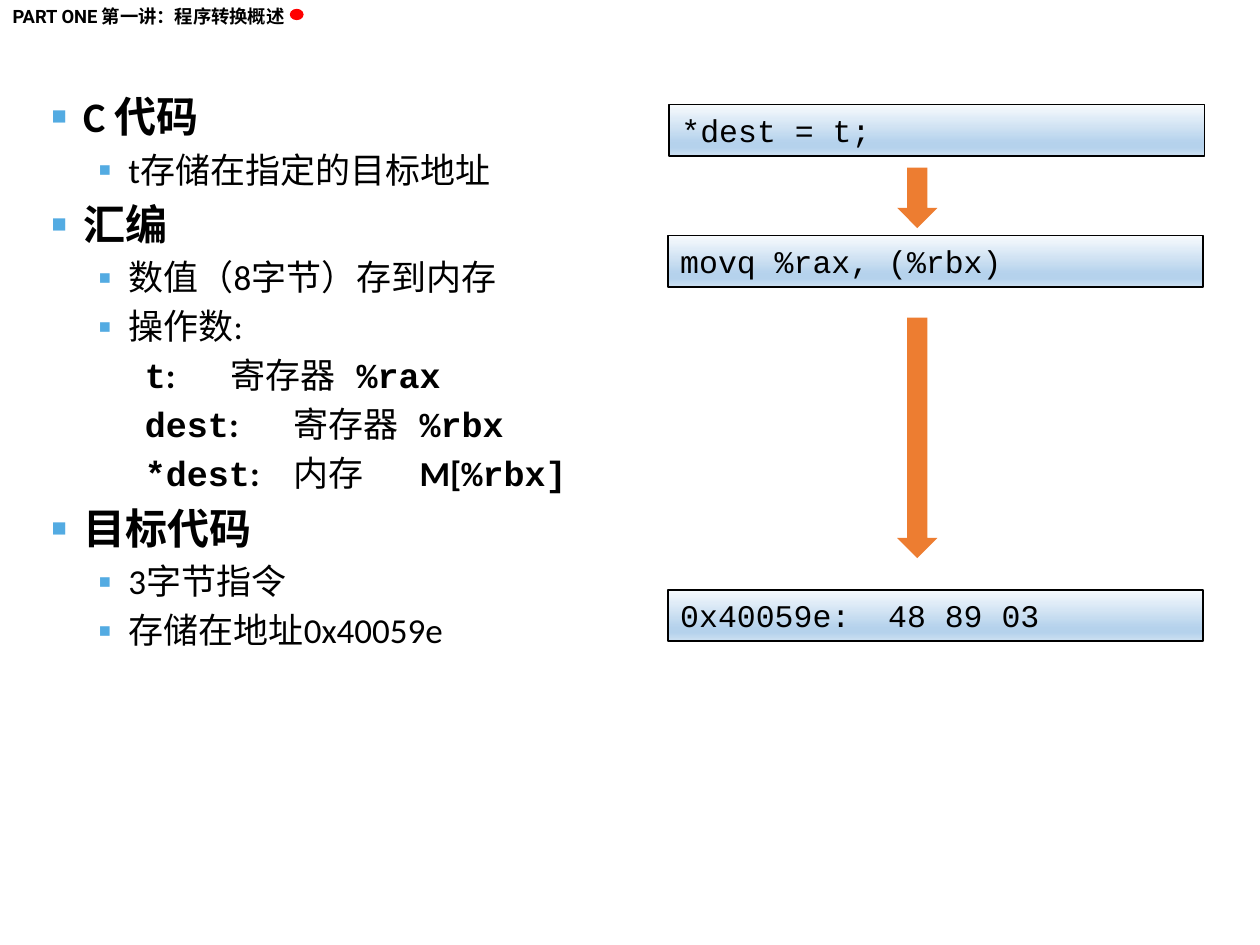
from typing import NamedTuple, Optional

import pptx
import pptx.dml.color
import pptx.enum.shapes
import pptx.enum.text
import pptx.oxml.ns
import pptx.util
from lxml import etree

Inches = pptx.util.Inches
Pt = pptx.util.Pt
Shape = pptx.enum.shapes.MSO_SHAPE
Fit = pptx.enum.text.MSO_AUTO_SIZE
Align = pptx.enum.text.PP_ALIGN
Anchor = pptx.enum.text.MSO_ANCHOR
qn = pptx.oxml.ns.qn

BODY = "Calibri"
CODE = "Courier New"
TABS = (1.75, 2.75)
STOPS = ((0, "F7FAFD"), (74, "B5D2EC"), (83, "B5D2EC"), (100, "CEE1F2"))


class Level(NamedTuple):
    left: float
    hang: float
    size: int
    bold: bool
    mark: Optional[str] = None
    scale: int = 100


class Panel(NamedTuple):
    left: float
    top: float
    code: str


class Arrow(NamedTuple):
    top: float
    height: float


LEVELS = (
    Level(0.25, 0.25, 24, True, "■", 60),
    Level(0.61, 0.24, 20, False, "▪", 110),
    Level(0.92, 0.18, 20, False),
)


def operand(name: str, kind: str, place: list, gap: str = ":\t") -> tuple:
    """Outline row: name, kind and place, set apart by tabs."""
    return 2, [(name, CODE, True), (gap, BODY, True),
               (kind + "\t", BODY, False), *place]


def plain(level: int, text: str) -> tuple:
    return level, [(text, BODY, LEVELS[level].bold)]


OUTLINE = (
    plain(0, "C 代码"),
    plain(1, "t存储在指定的目标地址"),
    plain(0, "汇编"),
    plain(1, "数值（8字节）存到内存"),
    plain(1, "操作数:"),
    operand("t", "寄存器", [("%rax", CODE, True)]),
    operand("dest", "寄存器", [("%rbx", CODE, True)]),
    operand("*dest", "内存", [("M[", BODY, True), ("%rbx]", CODE, True)], ": \t"),
    plain(0, "目标代码"),
    plain(1, "3字节指令"),
    plain(1, "存储在地址0x40059e"),
)
PANELS = (
    Panel(5.31, 0.83, "*dest = t;"),
    Panel(5.3, 1.87, "movq %rax, (%rbx)"),
    Panel(5.3, 4.68, "0x40059e:  48 89 03"),
)
ARROWS = (Arrow(1.33, 0.48), Arrow(2.52, 1.91))


def color(code: str) -> pptx.dml.color.RGBColor:
    return pptx.dml.color.RGBColor.from_string(code)


def write(para, text: str, *, font: str, size: float, bold: bool = False,
          ink: str = "000000") -> None:
    run = para.add_run()
    run.text = text
    run.font.name = font
    run.font.size = Pt(size)
    run.font.bold = bold
    run.font.color.rgb = color(ink)


def place(shape, left: float, top: float, width: float, height: float) -> None:
    shape.left, shape.top = Inches(left), Inches(top)
    shape.width, shape.height = Inches(width), Inches(height)


def add(parent, tag: str, **attrs):
    node = etree.SubElement(parent, qn(tag))
    for key, value in attrs.items():
        node.set(key, str(value))
    return node


def indent(para, level: Level) -> None:
    """Set the indents, bullet and tab stops of a paragraph."""
    props = para._p.get_or_add_pPr()
    props.set("marL", str(Inches(level.left)))
    props.set("indent", str(-Inches(level.hang)))
    if level.mark:
        add(add(props, "a:buClr"), "a:srgbClr", val="53ABE2")
        add(props, "a:buSzPct", val=level.scale * 1000)
        add(props, "a:buChar", char=level.mark)
    else:
        add(props, "a:buNone")
    tabs = add(props, "a:tabLst")
    for stop in TABS:
        add(tabs, "a:tab", pos=Inches(stop), algn="l")


def draw_list(holder) -> None:
    place(holder, 0.31, 0.67, 5, 6.33)
    frame = holder.text_frame
    frame.auto_size = Fit.NONE
    for index, (depth, runs) in enumerate(OUTLINE):
        para = frame.add_paragraph() if index else frame.paragraphs[0]
        para.level = depth
        indent(para, LEVELS[depth])
        for text, font, bold in runs:
            write(para, text, font=font, size=LEVELS[depth].size, bold=bold)
    frame.paragraphs[0].space_before = Pt(0)


def draw_head(holder) -> None:
    place(holder, 0, -0.01, 2.42, 0.28)
    frame = holder.text_frame
    frame.auto_size = Fit.NONE
    frame.word_wrap = False
    frame.vertical_anchor = Anchor.TOP
    para = frame.paragraphs[0]
    para.alignment = Align.LEFT
    write(para, "PART ONE 第一讲：程序转换概述", font="Roboto", size=10.5, bold=True)


def draw_shape(slide, kind, box: tuple, fill: str):
    shape = slide.shapes.add_shape(kind, *map(Inches, box))
    shape.shadow.inherit = False
    shape.fill.solid()
    shape.fill.fore_color.rgb = color(fill)
    shape.line.fill.background()
    return shape


def draw_panel(slide, panel: Panel) -> None:
    box = (panel.left, panel.top, 4.25, 0.41)
    shape = draw_shape(slide, Shape.RECTANGLE, box, STOPS[0][1])
    shape.fill.gradient()
    shape.fill.gradient_angle = 270
    stops = shape._element.spPr.find(".//" + qn("a:gsLst"))
    stops.clear()
    for pos, code in STOPS:
        add(add(stops, "a:gs", pos=pos * 1000), "a:srgbClr", val=code)
    shape.line.color.rgb = color("000000")
    shape.line.width = Pt(1)
    frame = shape.text_frame
    frame.word_wrap = True
    frame.vertical_anchor = Anchor.TOP
    para = frame.paragraphs[0]
    para.alignment = Align.LEFT
    write(para, panel.code, font=CODE, size=18)


def main() -> None:
    deck = pptx.Presentation()
    deck.slide_width, deck.slide_height = Inches(10), Inches(7.5)
    slide = deck.slides.add_slide(deck.slide_layouts[1])
    draw_head(slide.shapes.title)
    draw_shape(slide, Shape.OVAL, (2.3, 0.07, 0.11, 0.09), "FF0000")
    draw_list(slide.placeholders[1])
    for panel in PANELS:
        draw_panel(slide, panel)
    for arrow in ARROWS:
        box = (7.12, arrow.top, 0.32, arrow.height)
        draw_shape(slide, Shape.DOWN_ARROW, box, "ED7D31")
    deck.save("out.pptx")


if __name__ == "__main__":
    main()
